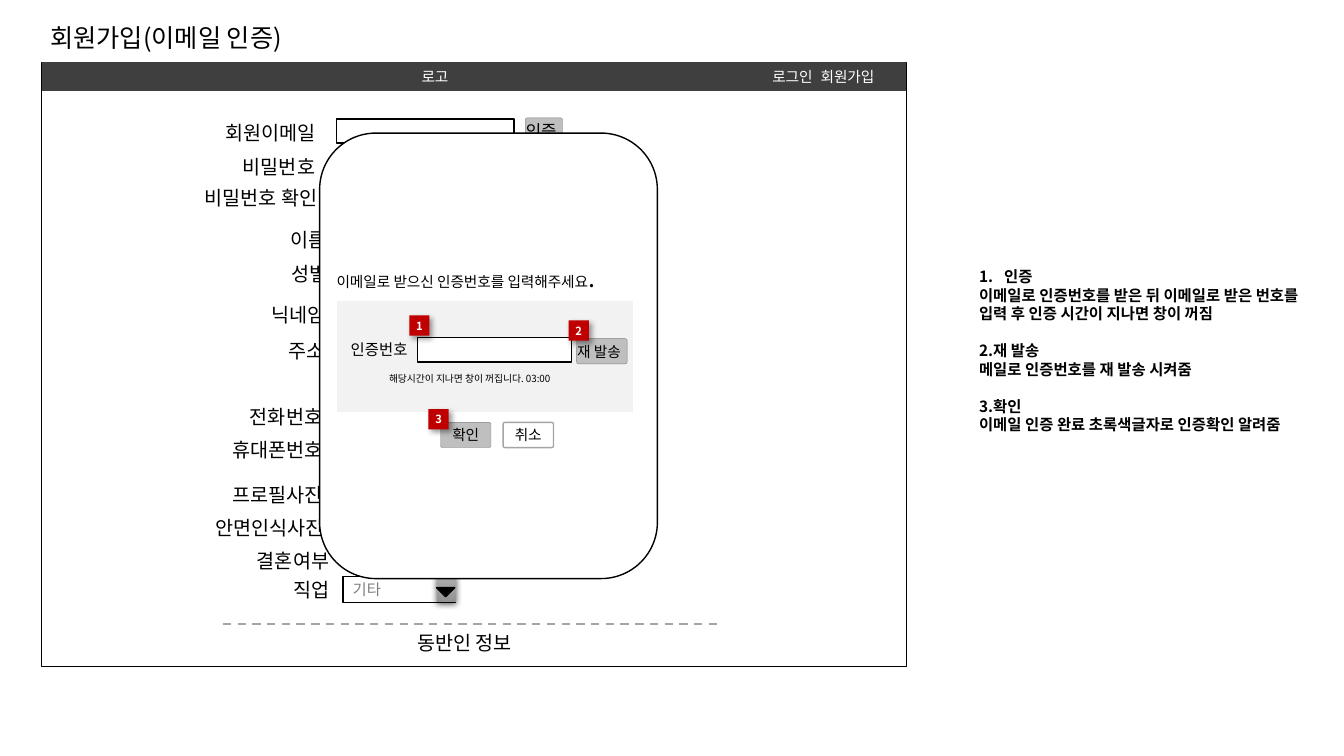
"""Build the sign-up wireframe slide with its e-mail verification dialog."""
import dataclasses

import lxml.etree
import pptx
import pptx.dml.color
import pptx.enum.dml
import pptx.enum.shapes
import pptx.enum.text
import pptx.oxml.ns
import pptx.util

SHAPE = pptx.enum.shapes.MSO_SHAPE
ALIGN = pptx.enum.text.PP_ALIGN
ANCHOR = pptx.enum.text.MSO_ANCHOR
COLS, ROWS = 133.3, 75


@dataclasses.dataclass(frozen=True)
class Theme:
    """Font, colours and type sizes of the slide."""
    font: str = "Noto Sans CJK KR"
    ink: str = "000000"
    paper: str = "FFFFFF"
    bar: str = "3F3F3F"
    panel: str = "F2F2F2"
    button: str = "BFBFBF"
    muted: str = "808080"
    rule: str = "A5A5A5"
    marker: str = "C00000"
    arrow_top: str = "AFAFAF"
    arrow_bottom: str = "939393"
    title: float = 18
    label: float = 14
    check: float = 12
    body: float = 11
    small: float = 10.5
    badge: float = 8
    hint: float = 7


T = Theme()

LABELS = [
    ("회원이메일", 21.4, 11.5, 12.8),
    ("비밀번호", 23.1, 14.9, 16.8),
    ("비밀번호 확인", 19.3, 18, 16.8),
    ("이름", 27.8, 22.1, 12.1),
    ("성별", 27.9, 25.5, 12.1),
    ("닉네임", 25.9, 29.6, 11.5),
    ("주소", 27.6, 33.1, 16.8),
    ("전화번호", 23.8, 39.7, 12.1),
    ("휴대폰번호", 22.1, 43, 12.1),
    ("프로필사진", 22.1, 47.4, 12.8),
    ("안면인식사진", 20.4, 50.7, 15.3),
    ("결혼여부", 24.5, 54, 12.1),
    ("직업", 28.1, 56.8, 12.1),
    ("동반인 정보", 40.4, 62.1, 36.3),
]
NOTES = [
    ("인증", "이메일로 인증번호를 받은 뒤 이메일로 받은 번호를 입력 후 인증 시간이 지나면 창이 꺼짐"),
    ("2.재 발송", "메일로 인증번호를 재 발송 시켜줌"),
    ("3.확인", "이메일 인증 완료 초록색글자로 인증확인 알려줌"),
]
MARKERS = [(40.6, 31.3), (56.4, 31.8), (42.5, 40.6)]


def grid(*cells):
    """Turn grid cells, a tenth of an inch each, into lengths."""
    return [pptx.util.Inches(c / 10) for c in cells]


def rgb(value):
    """Return a colour object for a hex value."""
    return pptx.dml.color.RGBColor.from_string(value)


def add_xml(parent, tag, **attrs):
    """Append a DrawingML element and return it."""
    return lxml.etree.SubElement(parent, pptx.oxml.ns.qn(tag), attrs)


def style(p, size, color=T.ink, bold=False, align=ALIGN.LEFT):
    """Set the font and alignment of one paragraph."""
    p.alignment = align
    f = p.font
    f.size, f.bold, f.name = pptx.util.Pt(size), bold, T.font
    f.color.rgb = rgb(color)
    add_xml(p._p.pPr.find(pptx.oxml.ns.qn("a:defRPr")), "a:ea", typeface=T.font)


def frame(sp, anchor=ANCHOR.MIDDLE, insets=(0, 0, 0, 0)):
    """Prepare the text frame of a shape and return it."""
    tf = sp.text_frame
    tf.word_wrap = True
    tf.vertical_anchor = anchor
    tf.margin_left, tf.margin_top, tf.margin_right, tf.margin_bottom = grid(*insets)
    return tf


def add_text(s, text, at, size, color=T.ink, align=ALIGN.LEFT, inset=True):
    """Add a one-paragraph text box, padded and growing or tight."""
    tf = s.shapes.add_textbox(*grid(*at)).text_frame
    if inset:
        tf.word_wrap = True
        tf.auto_size = pptx.enum.text.MSO_AUTO_SIZE.SHAPE_TO_FIT_TEXT
    else:
        frame(tf._parent)
    p = tf.paragraphs[0]
    p.text = text
    style(p, size, color, align=align)
    return tf


def add_box(s, at, fill=T.paper, line=T.ink, width=1, kind=SHAPE.RECTANGLE):
    """Add a flat preset shape."""
    sp = s.shapes.add_shape(kind, *grid(*at))
    sp.shadow.inherit = False
    sp.fill.solid()
    sp.fill.fore_color.rgb = rgb(fill)
    if line:
        sp.line.color.rgb = rgb(line)
        sp.line.width = pptx.util.Pt(width)
    else:
        sp.line.fill.background()
    return sp


def add_shadow(sp, alpha, blur, dist, angle):
    """Give a shape an outer shadow."""
    effects = sp._element.spPr.find(pptx.oxml.ns.qn("a:effectLst"))
    shadow = add_xml(effects, "a:outerShdw", blurRad=str(pptx.util.Pt(blur)),
                     dist=str(pptx.util.Pt(dist)), dir=str(angle * 60000),
                     algn="ctr", rotWithShape="0")
    add_xml(add_xml(shadow, "a:srgbClr", val=T.ink), "a:alpha", val=str(alpha * 1000))


def add_button(s, text, at, size=T.small, align=ALIGN.LEFT, fill=T.button,
               line=T.muted, width=0.25):
    """Add a slightly rounded button."""
    sp = add_box(s, at, fill, line, width, SHAPE.ROUNDED_RECTANGLE)
    sp.adjustments[0] = 0.075
    p = frame(sp, insets=(0, 0.5, 0, 0.5)).paragraphs[0]
    p.text = text
    style(p, size, align=align)


def add_marker(s, number, left, top):
    """Add a numbered red marker."""
    sp = add_box(s, (left, top, 2, 2), T.marker, None)
    add_shadow(sp, 40, 4, 3, 45)
    tf = frame(sp)
    tf.word_wrap = False
    p = tf.paragraphs[0]
    p.text = str(number)
    style(p, T.badge, T.paper, True, ALIGN.CENTER)


def add_title(s):
    """Place and format the title."""
    sp = s.shapes.title
    sp.left, sp.top, sp.width, sp.height = grid(4, 1.7, 26.9, 4)
    p = frame(sp, ANCHOR.TOP, (1, 0.5, 1, 0.5)).paragraphs[0]
    p.text = "회원가입(이메일 인증)"
    style(p, T.title)


def add_header(s):
    """Add the page frame and its dark top bar."""
    add_box(s, (4.1, 6.2, 85.8, 59.9))
    add_box(s, (4.2, 6.2, 85.6, 2.8), T.bar, T.bar)
    add_text(s, "로고", (39.6, 6.2, 7.1, 2.8), T.small, T.paper, ALIGN.CENTER, False)
    tf = add_text(s, "", (75.5, 6.2, 12.4, 2.8), T.small, T.paper, inset=False)
    tf.margin_left = grid(1.1)[0]
    p = tf.paragraphs[0]
    p.text = "로그인\t회원가입"
    tabs = lxml.etree.Element(pptx.oxml.ns.qn("a:tabLst"))
    add_xml(tabs, "a:tab", pos=str(grid(4.8)[0]), algn="l")
    p._p.pPr.insert(0, tabs)


def add_form(s):
    """Add the sign-up form behind the dialog."""
    add_box(s, (33.4, 11.8, 17.6, 2.4))
    for text, left, top, width in LABELS:
        add_text(s, text, (left, top, width, 3.4), T.label)
    add_button(s, "인증", (52.1, 11.7, 3.7, 2.6), T.check)
    sp = add_box(s, (34, 57.2, 11.2, 2.6))
    p = frame(sp, insets=(1, 0.5, 1, 0.5)).paragraphs[0]
    p.text = "기타"
    style(p, T.body, T.muted)
    sp = add_box(s, (43.3, 57.1, 1.9, 2.6), line=None)
    sp.fill.gradient()
    sp.fill.gradient_angle = 270
    for stop, color in zip(sp.fill.gradient_stops, (T.arrow_top, T.arrow_bottom)):
        stop.color.rgb = rgb(color)
    add_shadow(sp, 63, 4.5, 1.5, 90)
    sp = add_box(s, (43.3, 58.3, 1.8, 0.9), T.ink, kind=SHAPE.ISOSCELES_TRIANGLE)
    sp.rotation = 180
    cx = s.shapes.add_connector(pptx.enum.shapes.MSO_CONNECTOR.STRAIGHT,
                                *grid(22.1, 61.9, 71.2, 61.9))
    cx.line.color.rgb = rgb(T.rule)
    cx.line.width = pptx.util.Pt(1.5)
    cx.line.dash_style = pptx.enum.dml.MSO_LINE.DASH
    add_xml(cx._element.spPr, "a:effectLst")


def add_dialog(s):
    """Add the verification dialog with its markers."""
    add_box(s, (31.7, 13.2, 33.5, 44.2), kind=SHAPE.ROUNDED_RECTANGLE)
    tf = add_text(s, "이메일로 받으신 인증번호를 입력해주세요", (32.4, 25.5, 31.4, 4), T.small)
    r = tf.paragraphs[0].add_run()
    r.text = "."
    r.font.size = pptx.util.Pt(T.title)
    add_box(s, (33.3, 29.8, 29.6, 11.2), T.panel, T.paper, 1.5)
    add_text(s, "인증번호", (33.8, 33.2, 10.3, 2.9), T.body)
    add_box(s, (41.4, 33.5, 15.3, 2.4))
    add_button(s, "재 발송", (57.2, 33.6, 5, 2.5))
    add_button(s, "확인", (43.7, 41.9, 5, 2.5), align=ALIGN.CENTER)
    add_button(s, "취소", (49.9, 41.9, 5, 2.5), T.small, ALIGN.CENTER, T.paper, T.rule, 1)
    add_text(s, "해당시간이 지나면 창이 꺼집니다. 03:00", (37.6, 36.5, 24.9, 2.2), T.hint)
    for number, (left, top) in enumerate(MARKERS, 1):
        add_marker(s, number, left, top)


def add_notes(s):
    """Add the numbered explanations beside the page."""
    tf = frame(s.shapes.add_textbox(*grid(97.1, 5.9, 33.2, 59.6)), insets=(0, 0, 0, 1.8))
    for i, (head, body) in enumerate(NOTES):
        p = tf.add_paragraph() if i else tf.paragraphs[0]
        p.text = head
        if i:
            p.space_before = pptx.util.Pt(13.2)
        else:
            pPr = p._p.get_or_add_pPr()
            pPr.set("marL", str(grid(2.5)[0]))
            pPr.set("indent", str(grid(-2.5)[0]))
            add_xml(pPr, "a:buFont", typeface="+mj-lt")
            add_xml(pPr, "a:buAutoNum", type="arabicPeriod")
        style(p, T.body, bold=True)
        p = tf.add_paragraph()
        p.text = body
        style(p, T.body, bold=True)


def main():
    """Build and save the slide."""
    prs = pptx.Presentation()
    prs.slide_width, prs.slide_height = grid(COLS, ROWS)
    s = prs.slides.add_slide(prs.slide_layouts[5])
    add_title(s)
    add_header(s)
    add_form(s)
    add_dialog(s)
    add_notes(s)
    prs.save("out.pptx")


if __name__ == "__main__":
    main()
